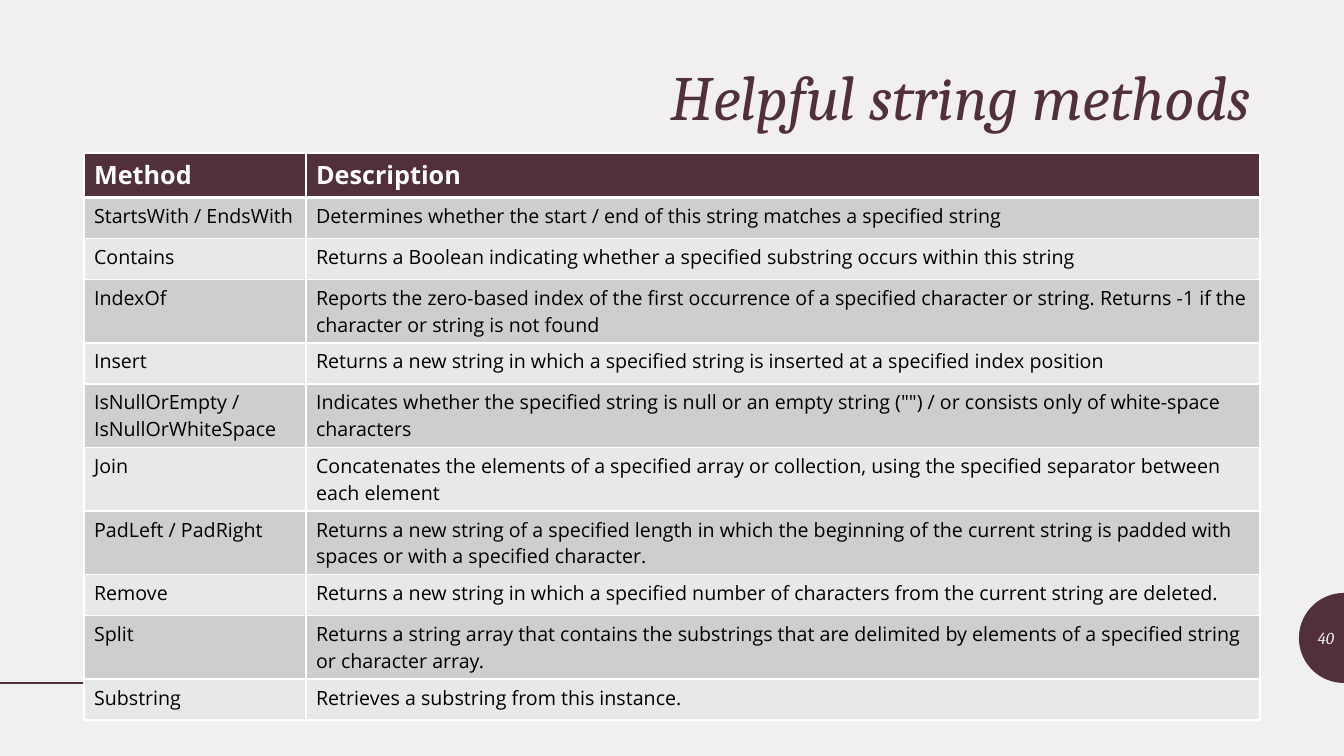
from dataclasses import dataclass
from math import cos, pi, sin

from lxml import etree
from pptx import Presentation
from pptx import util as u
from pptx.dml.color import RGBColor
from pptx.enum import shapes, text
from pptx.oxml import parse_xml
from pptx.oxml.ns import nsdecls, qn

PX = 914400 / 100.8
PLUM = RGBColor(0x51, 0x30, 0x3B)
PAPER = RGBColor(0xF2, 0xF0, 0xEF)
WHITE = RGBColor(0xFF, 0xFF, 0xFF)
BLACK = RGBColor(0, 0, 0)
BANDS = (RGBColor(0xD0, 0xCD, 0xCE), RGBColor(0xE9, 0xE8, 0xE8))

TITLE_FORMAT = dict(name="Cambria", size=u.Pt(45), italic=True)
NUMBER_FORMAT = dict(name="Cambria", size=u.Pt(12), italic=True)
HEADER_FORMAT = dict(name="Open Sans", size=u.Pt(18), bold=True)
BODY_FORMAT = dict(name="Open Sans", size=u.Pt(14), bold=False)


@dataclass
class Method:
    name: str
    description: str


@dataclass
class Label:
    words: str
    box: tuple[int, int, int, int]
    style: dict
    color: RGBColor
    anchor: text.MSO_ANCHOR
    spacing: float


METHODS = [
    Method("StartsWith / EndsWith",
           "Determines whether the start / end of this string matches a specified string"),
    Method("Contains",
           "Returns a Boolean indicating whether a specified substring occurs within this string"),
    Method("IndexOf",
           "Reports the zero-based index of the first occurrence of a specified character "
           "or string. Returns -1 if the character or string is not found"),
    Method("Insert",
           "Returns a new string in which a specified string is inserted at a specified "
           "index position"),
    Method("IsNullOrEmpty / IsNullOrWhiteSpace",
           'Indicates whether the specified string is null or an empty string ("") / or '
           "consists only of white-space characters"),
    Method("Join",
           "Concatenates the elements of a specified array or collection, using the "
           "specified separator between each element"),
    Method("PadLeft / PadRight",
           "Returns a new string of a specified length in which the beginning of the "
           "current string is padded with spaces or with a specified character."),
    Method("Remove",
           "Returns a new string in which a specified number of characters from the "
           "current string are deleted."),
    Method("Split",
           "Returns a string array that contains the substrings that are delimited by "
           "elements of a specified string or character array."),
    Method("Substring", "Retrieves a substring from this instance."),
]

LABELS = [
    Label("Helpful string methods", (84, 61, 1176, 77), TITLE_FORMAT, PLUM,
          text.MSO_ANCHOR.TOP, 0.9),
    Label("40", (1299, 618, 45, 40), NUMBER_FORMAT, PAPER,
          text.MSO_ANCHOR.MIDDLE, 1.0),
]


def px(n: float) -> u.Emu:
    return u.Emu(round(n * PX))


def set_font(font, style: dict, color: RGBColor) -> None:
    for key, value in style.items():
        setattr(font, key, value)
    font.color.rgb = color


def add_label(s, label: Label) -> None:
    tf = s.shapes.add_textbox(*map(px, label.box)).text_frame
    tf.word_wrap = True
    tf.vertical_anchor = label.anchor
    p = tf.paragraphs[0]
    p.alignment = text.PP_ALIGN.RIGHT
    p.line_spacing = label.spacing
    r = p.add_run()
    r.text = label.words
    set_font(r.font, label.style, label.color)


def add_half_disc(s, x: int, y: int, radius: int, steps: int = 48) -> None:
    """Draw the left half of a disc centred on (x, y)."""
    angles = [pi / 2 + pi * i / steps for i in range(steps + 1)]
    points = [(px(x + radius * cos(a)), px(y - radius * sin(a))) for a in angles]
    builder = s.shapes.build_freeform(*points[0])
    builder.add_line_segments(points[1:], close=True)
    sp = builder.convert_to_shape()
    sp.shadow.inherit = False
    sp.fill.solid()
    sp.fill.fore_color.rgb = PLUM
    sp.line.fill.background()


def add_rule(s, x1: int, x2: int, y: int) -> None:
    line = s.shapes.add_connector(
        shapes.MSO_CONNECTOR.STRAIGHT, px(x1), px(y), px(x2), px(y))
    line.line.color.rgb = PLUM
    line.line.width = u.Pt(2)
    etree.SubElement(line._element.spPr, qn("a:effectLst"))


def set_borders(cell, top: int, bottom: int) -> None:
    """Give the cell white borders; widths are in points."""
    tc_pr = cell._tc.get_or_add_tcPr()
    for side, width in dict(L=1, R=1, T=top, B=bottom).items():
        tc_pr.append(parse_xml(
            f'<a:ln{side} {nsdecls("a")} w="{u.Pt(width)}"><a:solidFill>'
            f'<a:srgbClr val="{WHITE}"/></a:solidFill></a:ln{side}>'))


def add_method_table(s) -> None:
    rows = [Method("Method", "Description"), *METHODS]
    row_height = 41
    table = s.shapes.add_table(
        len(rows), 2, px(84), px(153), px(1176), px(row_height * len(rows))).table
    for column, width in zip(table.columns, (222, 954)):
        column.width = px(width)
    for i, method in enumerate(rows):
        table.rows[i].height = px(row_height)
        header = i == 0
        for cell, words in zip(table.rows[i].cells, (method.name, method.description)):
            set_borders(cell, top=3 if i == 1 else 1, bottom=3 if header else 1)
            cell.fill.solid()
            cell.fill.fore_color.rgb = PLUM if header else BANDS[(i - 1) % 2]
            r = cell.text_frame.paragraphs[0].add_run()
            r.text = words
            set_font(r.font, HEADER_FORMAT if header else BODY_FORMAT,
                     WHITE if header else BLACK)


def main() -> None:
    prs = Presentation()
    prs.slide_width, prs.slide_height = px(1344), px(756)
    s = prs.slides.add_slide(prs.slide_layouts[6])
    s.background.fill.solid()
    s.background.fill.fore_color.rgb = PAPER
    add_half_disc(s, 1344, 638, 45)
    add_rule(s, 0, 496, 683)
    add_method_table(s)
    for label in LABELS:
        add_label(s, label)
    prs.save("out.pptx")


if __name__ == "__main__":
    main()
